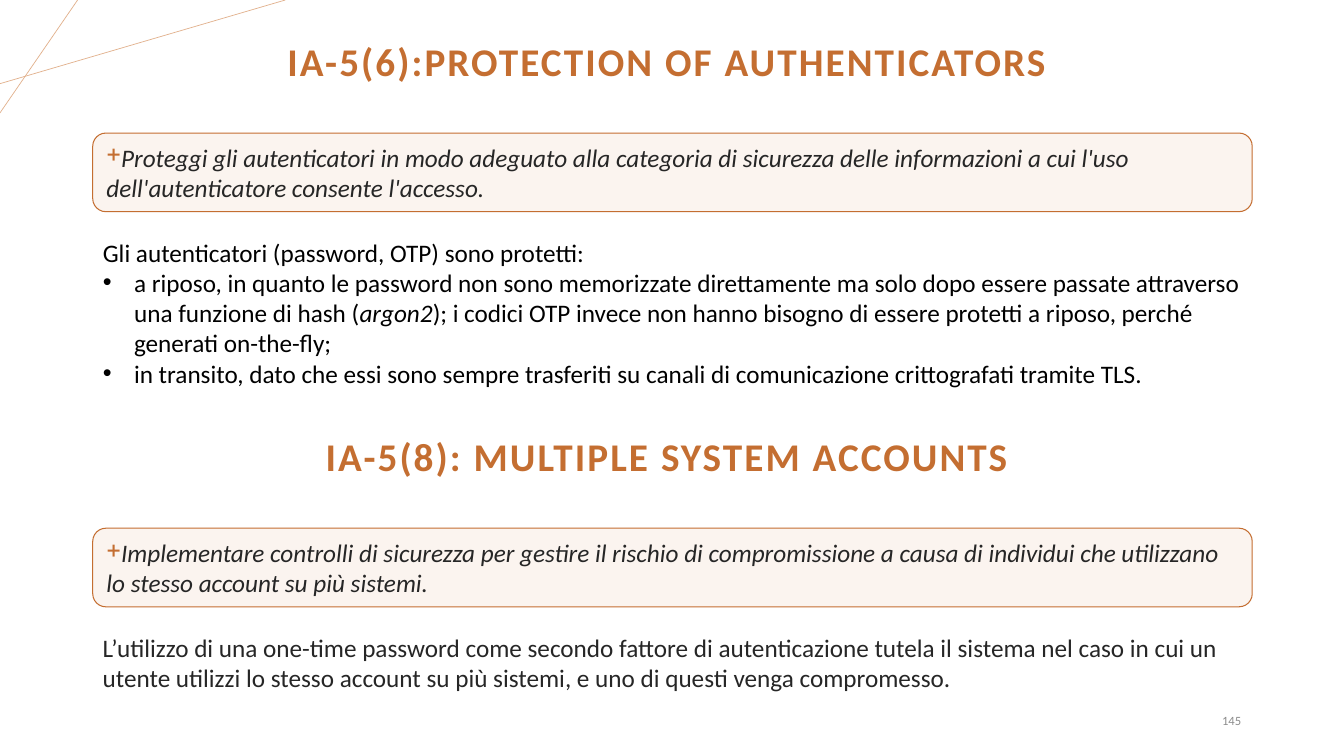
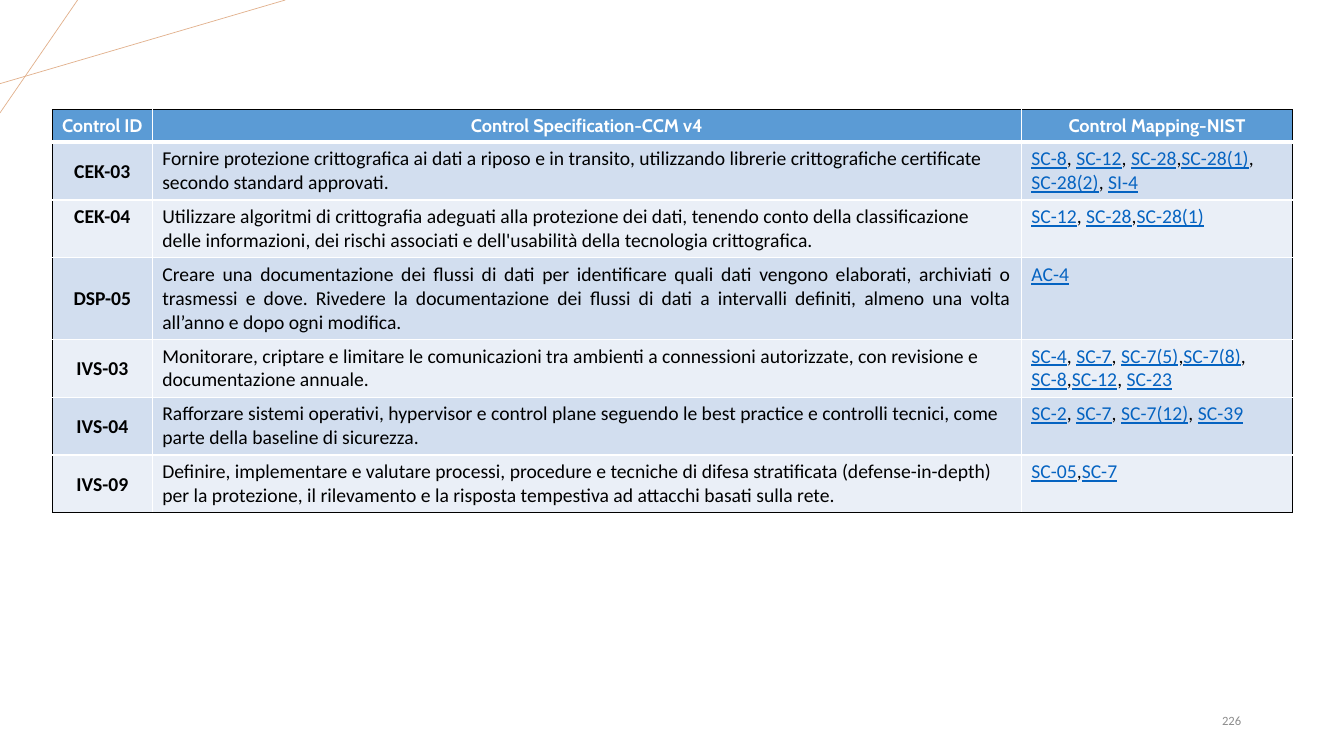
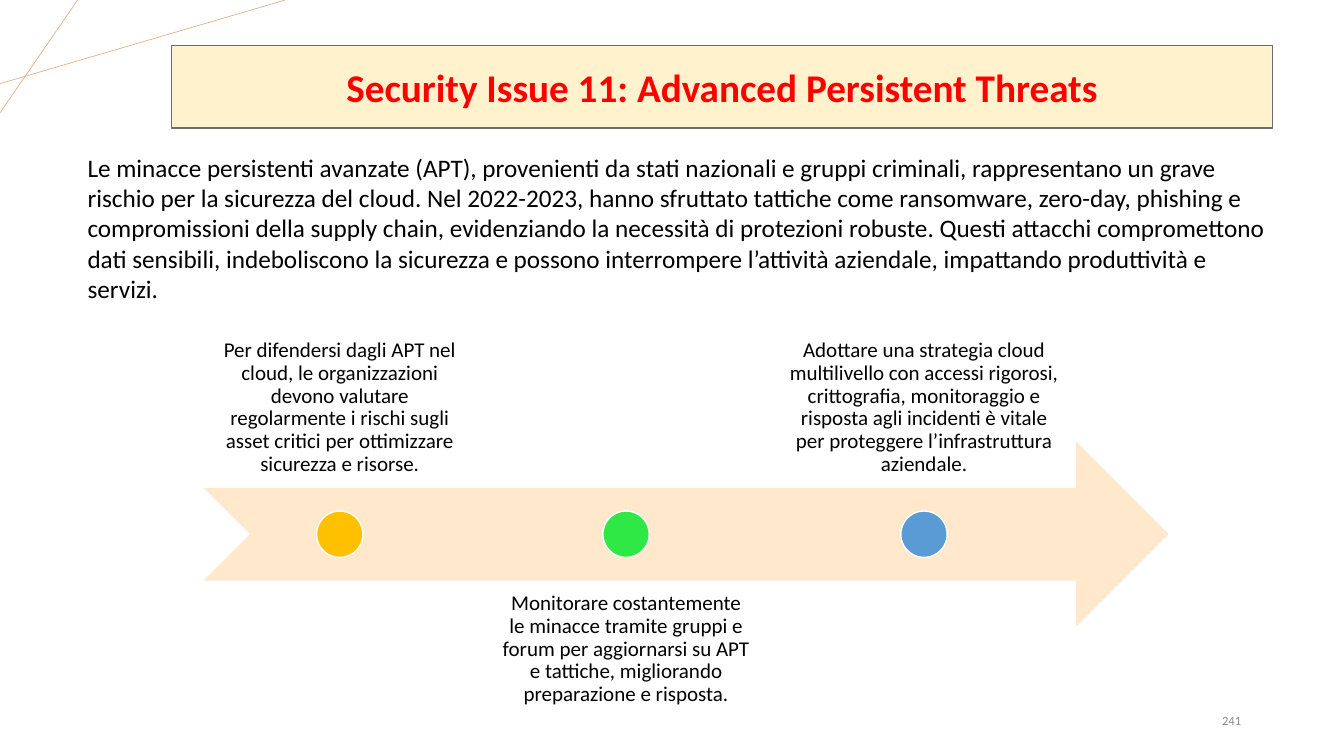
from lxml import etree
from pptx import Presentation
from pptx.dml.color import RGBColor
from pptx.enum.shapes import MSO_CONNECTOR, MSO_SHAPE
from pptx.enum.text import MSO_ANCHOR, MSO_AUTO_SIZE, PP_ALIGN
from pptx.oxml.ns import qn
from pptx.util import Inches, Pt

LEFT, CENTER, RIGHT, JUSTIFY = PP_ALIGN.LEFT, PP_ALIGN.CENTER, PP_ALIGN.RIGHT, PP_ALIGN.JUSTIFY
TOP, MIDDLE, BOTTOM = MSO_ANCHOR.TOP, MSO_ANCHOR.MIDDLE, MSO_ANCHOR.BOTTOM
FIXED, GROW = MSO_AUTO_SIZE.NONE, MSO_AUTO_SIZE.SHAPE_TO_FIT_TEXT

BLACK = RGBColor(0x00, 0x00, 0x00)
WHITE = RGBColor(0xFF, 0xFF, 0xFF)
DARK = RGBColor(0x26, 0x26, 0x26)
GRAY = RGBColor(0x8C, 0x8C, 0x8C)
RED = RGBColor(0xFF, 0x00, 0x00)
RUST = RGBColor(0xC4, 0x6E, 0x31)
BLUSH = RGBColor(0xFB, 0xF4, 0xEF)
TAN = RGBColor(0xE2, 0xB1, 0x8D)
CREAM = RGBColor(0xFF, 0xF2, 0xCC)
TAUPE = RGBColor(0x6E, 0x6B, 0x69)
PEACH = RGBColor(0xFF, 0xE8, 0xCC)
AMBER = RGBColor(0xFF, 0xC0, 0x00)
GREEN = RGBColor(0x30, 0xE8, 0x45)
BLUE = RGBColor(0x5B, 0x9B, 0xD5)
LINK_BLUE = RGBColor(0x05, 0x63, 0xC1)
ROW_FILLS = [RGBColor(0xD2, 0xDE, 0xEF), RGBColor(0xEA, 0xEF, 0xF7)]

# Content: asterisks enclose italic words
CORNER_LINES = [((0, 0.83), (2.83, 0)), ((0.77, 0), (0, 1.12))]
PROTECTION = {
    "title": "IA-5(6):PROTECTION OF AUTHENTICATORS ",
    "control": "Proteggi gli autenticatori in modo adeguato alla categoria di sicurezza delle "
               "informazioni a cui l'uso dell'autenticatore consente l'accesso.",
    "notes": [
        "Gli autenticatori (password, OTP) sono protetti:",
        "a riposo, in quanto le password non sono memorizzate direttamente ma solo dopo essere "
        "passate attraverso una funzione di hash (*argon2*); i codici OTP invece non hanno bisogno "
        "di essere protetti a riposo, perché generati on-the-fly;",
        "in transito, dato che essi sono sempre trasferiti su canali di comunicazione "
        "crittografati tramite TLS."],
}
ACCOUNTS = {
    "title": "IA-5(8): MULTIPLE SYSTEM ACCOUNTS ",
    "control": "Implementare controlli di sicurezza per gestire il rischio di compromissione a "
               "causa di individui che utilizzano lo stesso account su più sistemi.",
    "notes": [
        "L’utilizzo di una one-time password come secondo fattore di autenticazione tutela il "
        "sistema nel caso in cui un utente utilizzi lo stesso account su più sistemi, e uno di "
        "questi venga compromesso."],
}
MAPPING_HEADER = ["Control ID", "Control Specification-CCM v4", "Control Mapping-NIST"]
# Control, specification, mapped controls, alignment, inset under the control
MAPPING_ROWS = [
    ("CEK-03", "Fornire protezione crittografica ai dati a riposo e in transito, utilizzando "
     "librerie crittografiche certificate secondo standard approvati.",
     "SC-8, SC-12, SC-28,SC-28(1), SC-28(2), SI-4", LEFT, 0),
    ("CEK-04", "Utilizzare algoritmi di crittografia adeguati alla protezione dei dati, tenendo "
     "conto della classificazione delle informazioni, dei rischi associati e dell'usabilità "
     "della tecnologia crittografica.", "SC-12, SC-28,SC-28(1)", LEFT, 0.24),
    ("DSP-05", "Creare una documentazione dei flussi di dati per identificare quali dati vengono "
     "elaborati, archiviati o trasmessi e dove. Rivedere la documentazione dei flussi di dati a "
     "intervalli definiti, almeno una volta all’anno e dopo ogni modifica.", "AC-4", JUSTIFY, 0),
    ("IVS-03", "Monitorare, criptare e limitare le comunicazioni tra ambienti a connessioni "
     "autorizzate, con revisione e documentazione annuale.",
     "SC-4, SC-7, SC-7(5),SC-7(8), SC-8,SC-12, SC-23", LEFT, 0),
    ("IVS-04", "Rafforzare sistemi operativi, hypervisor e control plane seguendo le best "
     "practice e controlli tecnici, come parte della baseline di sicurezza.",
     "SC-2, SC-7, SC-7(12), SC-39", LEFT, 0),
    ("IVS-09", "Definire, implementare e valutare processi, procedure e tecniche di difesa "
     "stratificata (defense-in-depth) per la protezione, il rilevamento e la risposta tempestiva "
     "ad attacchi basati sulla rete.", "SC-05,SC-7", LEFT, 0),
]
THREAT_TITLE = "Security Issue 11: Advanced Persistent Threats"
THREAT_INTRO = (
    "Le minacce persistenti avanzate (APT), provenienti da stati nazionali e gruppi criminali, "
    "rappresentano un grave rischio per la sicurezza del cloud. Nel 2022-2023, hanno sfruttato "
    "tattiche come ransomware, zero-day, phishing e compromissioni della supply chain, "
    "evidenziando la necessità di protezioni robuste. Questi attacchi compromettono dati "
    "sensibili, indeboliscono la sicurezza e possono interrompere l’attività aziendale, "
    "impattando produttività e servizi.")
# Text, width, dot colour; steps alternate above and below the arrow
THREAT_STEPS = [
    ("Per difendersi dagli APT nel cloud, le organizzazioni devono valutare regolarmente i rischi "
     "sugli asset critici per ottimizzare sicurezza e risorse.", 2.7, AMBER),
    ("Monitorare costantemente le minacce tramite gruppi e forum per aggiornarsi su APT e "
     "tattiche, migliorando preparazione e risposta.", 2.7, GREEN),
    ("Adottare una strategia cloud multilivello con accessi rigorosi, crittografia, monitoraggio "
     "e risposta agli incidenti è vitale per proteggere l’infrastruttura aziendale.", 2.93, BLUE),
]


# Text helpers
def style(span, size, color, bold=False, italic=False, underline=False, font="Calibri"):
    span.font.name, span.font.size = font, Pt(size)
    span.font.bold, span.font.italic, span.font.underline = bold, italic, underline
    span.font.color.rgb = color


def set_bullet(para, mark, color=None, hang=0.0):
    properties = para._p.get_or_add_pPr()
    properties.set("marL", str(Inches(hang)))
    properties.set("indent", str(-Inches(hang)))
    if color is not None:
        holder = etree.SubElement(properties, qn("a:buClr"))
        etree.SubElement(holder, qn("a:srgbClr"), val=str(color))
    if mark:
        etree.SubElement(properties, qn("a:buChar"), char=mark)
    else:
        etree.SubElement(properties, qn("a:buNone"))


def write(box, texts, size, color, align=LEFT, anchor=TOP, fit=FIXED, spacing=1.0, inset=None,
          bold=False, italic=False):
    frame = box.text_frame
    frame.word_wrap, frame.auto_size, frame.vertical_anchor = True, fit, anchor
    if inset is not None:
        frame.margin_left = frame.margin_right = Inches(inset)
        frame.margin_top = frame.margin_bottom = Inches(inset)
    for number, text in enumerate(texts):
        para = frame.add_paragraph() if number else frame.paragraphs[0]
        para.alignment, para.line_spacing = align, spacing
        para.space_before = Pt(0)
        for position, piece in enumerate(text.split("*")):
            span = para.add_run()
            span.text = piece
            style(span, size, color, bold, italic or position % 2 == 1)
    return frame.paragraphs


def place(box, left, top, width, height):
    box.left, box.top, box.width, box.height = map(Inches, (left, top, width, height))
    return box


def add_text(page, left, top, width, height):
    return page.shapes.add_textbox(*map(Inches, (left, top, width, height)))


def add_box(page, kind, left, top, width, height, fill, line=None, weight=1.0):
    box = page.shapes.add_shape(kind, *map(Inches, (left, top, width, height)))
    box.shadow.inherit = False
    paint(box, fill, line, weight)
    return box


def paint(box, fill, line, weight):
    box.fill.solid()
    box.fill.fore_color.rgb = fill
    if line is None:
        box.line.fill.background()
    else:
        box.line.color.rgb, box.line.width = line, Pt(weight)


# Shared parts
def add_corner_lines(deck, page):
    """Draw the corner lines and move them to the slide master."""
    for number, (start, end) in enumerate(CORNER_LINES):
        line = page.shapes.add_connector(MSO_CONNECTOR.STRAIGHT, *map(Inches, start + end))
        line.line.color.rgb, line.line.width = TAN, Pt(0.5)
        etree.SubElement(line.element.spPr, qn("a:effectLst"))
        line.element.nvCxnSpPr.cNvPr.id = 50 + number
        deck.slide_master.shapes.element.append(line.element)


def add_page(deck, layout, number):
    page = deck.slides.add_slide(deck.slide_layouts[layout])
    write(add_text(page, 11.86, 6.95, 0.55, 0.4), [number], 9, GRAY, RIGHT, MIDDLE)
    return page


# Control: heading, framed requirement and notes
def add_control(page, control, top, heading, notes, notes_height, color):
    left, width = 0.92, 11.5
    place(heading, left, top, width, 0.98)
    for para in write(heading, [control["title"]], 28, RUST, CENTER, MIDDLE, spacing=0.9, bold=True):
        for span in para.runs:
            span.font._element.set("spc", "150")
    frame = add_box(page, MSO_SHAPE.ROUNDED_RECTANGLE, left, top + 1.18, width, 0.78,
                    BLUSH, RUST, 0.75)
    set_bullet(write(frame, [control["control"]], 18, DARK, fit=GROW, italic=True)[0], "+", RUST)
    place(notes, left, top + 2.16, width, notes_height)
    for number, para in enumerate(write(notes, control["notes"], 18, color, fit=GROW)):
        if number:
            set_bullet(para, "•", hang=0.31)
        else:
            set_bullet(para, None)


def build_controls(page):
    add_control(page, PROTECTION, 0.14, page.shapes.title, page.placeholders[1], 1.62, BLACK)
    add_control(page, ACCOUNTS, 4.06, add_text(page, 0, 0, 1, 1), add_text(page, 0, 0, 1, 1),
                0.71, DARK)


# Mapping table
def set_borders(cell, sides):
    properties = cell._tc.get_or_add_tcPr()
    for side, (color, weight) in sides.items():
        line = etree.SubElement(properties, qn("a:ln" + side), w=str(Pt(weight)))
        fill = etree.SubElement(line, qn("a:solidFill"))
        etree.SubElement(fill, qn("a:srgbClr"), val=str(color))


def add_links(para, text):
    for position, part in enumerate(text.split(",")):
        if position:
            comma = para.add_run()
            comma.text = ", " if part.startswith(" ") else ","
            style(comma, 14, BLACK)
        link = para.add_run()
        link.text = part.strip()
        style(link, 14, LINK_BLUE, underline=True)


def fill_cell(cell, text, row, column, align, lift):
    para = cell.text_frame.paragraphs[0]
    para.alignment = align
    if row and column == 2:
        add_links(para, text)
    else:
        para.text = text
        if row:
            style(para.runs[0], 14, BLACK, bold=column == 0)
        else:
            style(para.runs[0], 13, WHITE, bold=True, font="Cabin")
    if row == 0 or column == 0:
        cell.vertical_anchor = MIDDLE
        cell.margin_left = cell.margin_right = cell.margin_top = Inches(0.01)
        cell.margin_bottom = Inches(lift)


def build_mapping(page):
    widths, heights = [0.99, 8.62, 2.69], [0.32] + [0.53] * len(MAPPING_ROWS)
    table = page.shapes.add_table(len(heights), len(widths), Inches(0.52), Inches(1.09),
                                  Inches(sum(widths)), Inches(sum(heights))).table
    for column, width in enumerate(widths):
        table.columns[column].width = Inches(width)
    last_row, last_column = len(heights) - 1, len(widths) - 1
    rows = [(*MAPPING_HEADER, CENTER, 0)] + MAPPING_ROWS
    for row, (*texts, align, lift) in enumerate(rows):
        table.rows[row].height = Inches(heights[row])
        for column, text in enumerate(texts):
            cell = table.cell(row, column)
            aligns = [CENTER, align, CENTER if row == 0 else LEFT]
            fill_cell(cell, text, row, column, aligns[column], lift)
            set_borders(cell, {
                "L": (BLACK if column == 0 else WHITE, 1),
                "R": (BLACK if column == last_column else WHITE, 1),
                "T": (BLACK if row == 0 else WHITE, 1),
                "B": (BLACK if row == last_row else WHITE, 1 if row else 3)})
            cell.fill.solid()
            cell.fill.fore_color.rgb = ROW_FILLS[(row - 1) % 2] if row else BLUE


# Threat timeline
def build_threat(page):
    title = place(page.shapes.title, 1.7, 0.45, 10.92, 0.82)
    outline = etree.SubElement(title.element.spPr, qn("a:prstGeom"), prst="round1Rect")
    etree.SubElement(outline, qn("a:avLst"))
    paint(title, CREAM, TAUPE, 1)
    write(title, [THREAT_TITLE], 28, RED, CENTER, MIDDLE, bold=True)
    write(add_text(page, 0.77, 1.46, 12.06, 1.62), [THREAT_INTRO], 18, BLACK, fit=GROW)

    left, arrow_top, height, dot, gap = 2.02, 4.38, 1.84, 0.46, 0.14
    band_top, band_bottom = arrow_top + height / 4, arrow_top + height * 3 / 4
    add_box(page, MSO_SHAPE.NOTCHED_RIGHT_ARROW, left, arrow_top, 9.57, height, PEACH)
    for number, (text, width, color) in enumerate(THREAT_STEPS):
        above = number % 2 == 0
        label = add_text(page, left, band_top - height if above else band_bottom, width, height)
        write(label, [text], 15, BLACK, CENTER, BOTTOM if above else TOP, spacing=0.9, inset=0.12)
        add_box(page, MSO_SHAPE.OVAL, left + (width - dot) / 2, arrow_top + (height - dot) / 2,
                dot, dot, color, WHITE)
        left += width + gap


def main():
    deck = Presentation()
    deck.slide_width, deck.slide_height = Inches(13.33), Inches(7.5)
    pages = [(1, "145", build_controls), (6, "226", build_mapping), (5, "241", build_threat)]
    for layout, number, build in pages:
        build(add_page(deck, layout, number))
    add_corner_lines(deck, deck.slides[0])
    deck.save("out.pptx")


if __name__ == "__main__":
    main()
